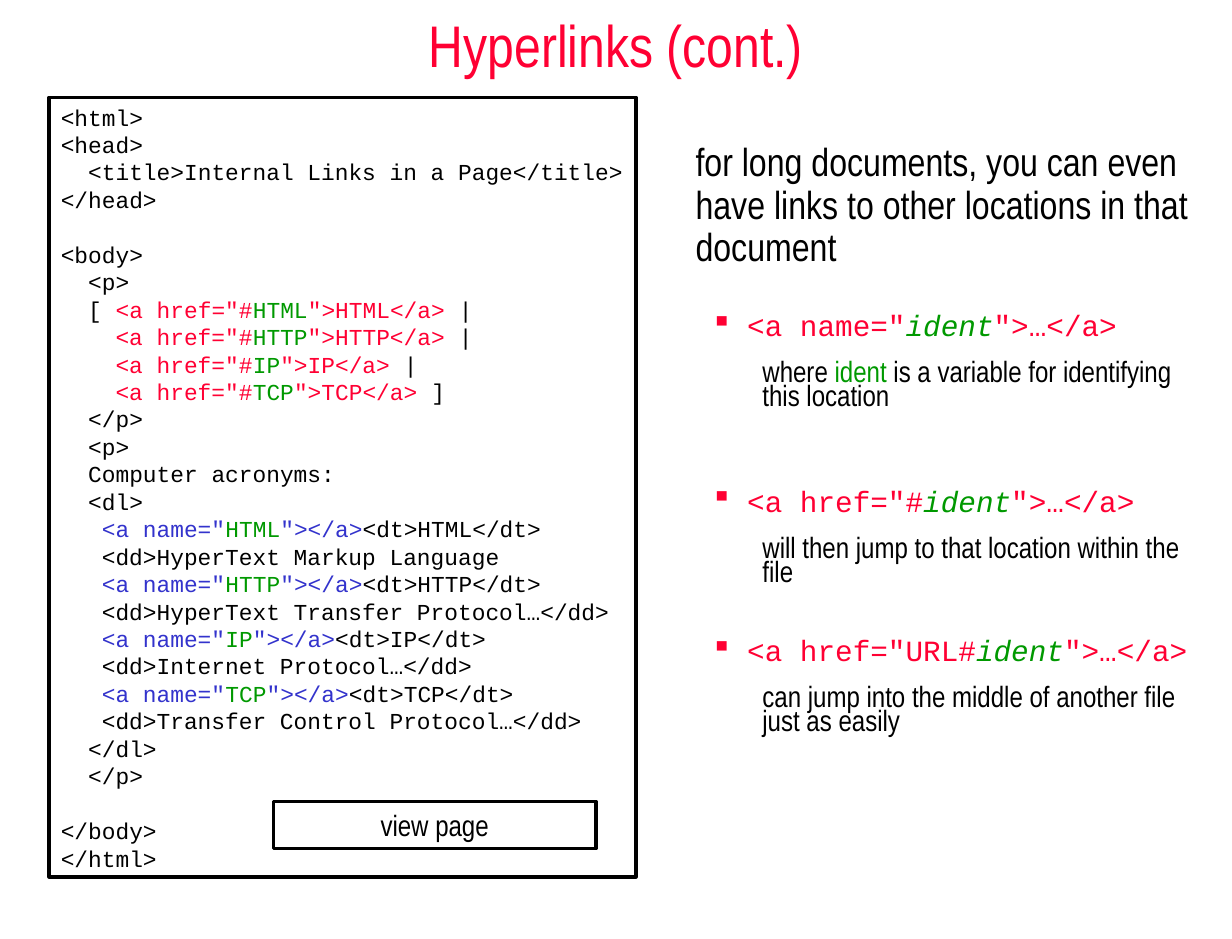
from dataclasses import dataclass

from lxml.etree import SubElement
from pptx import Presentation
from pptx.dml.color import RGBColor
from pptx.enum.shapes import MSO_SHAPE as Shape
from pptx.enum.text import MSO_ANCHOR as Anchor, PP_ALIGN as Align
from pptx.oxml.ns import qn
from pptx.util import Inches, Pt


@dataclass(frozen=True)
class Theme:
    sans: str = "Arial Narrow"
    mono: str = "Courier New"
    black: str = "000000"
    red: str = "FF0033"
    green: str = "009900"
    blue: str = "3333CC"
    title: float = 36
    lead: float = 24
    body: float = 18
    code: float = 14
    code_pitch: float = 16.84
    border: float = 2.25


THEME = Theme()
CODE_CHARACTER = THEME.code * 0.6 / 72


def write(paragraph, text, font=THEME.sans, size=THEME.body, color=THEME.black, italic=False):
    run = paragraph.add_run()
    run.text = text
    run.font.name = font
    run.font.size = Pt(size)
    run.font.color.rgb = RGBColor.from_string(color)
    run.font.italic = italic


def add_paragraph(frame, spacing=None, before=0, left=0, hanging=0, align=Align.LEFT):
    first = frame.paragraphs[0]
    paragraph = frame.add_paragraph() if first.runs else first
    paragraph.alignment = align
    paragraph.line_spacing = spacing
    paragraph.space_before = Pt(before)
    properties = paragraph._p.get_or_add_pPr()
    properties.set("marL", str(Inches(left)))
    properties.set("indent", str(Inches(-hanging)))
    return paragraph


def add_bullet(paragraph):
    properties = paragraph._p.get_or_add_pPr()
    color = SubElement(properties, qn("a:buClr"))
    SubElement(color, qn("a:srgbClr")).set("val", THEME.red)
    SubElement(properties, qn("a:buChar")).set("char", "▪")


def add_text_area(slide, left, top, width, height):
    area = slide.shapes.add_textbox(Inches(left), Inches(top), Inches(width), Inches(height))
    area.text_frame.word_wrap = True
    return area.text_frame


def add_frame(slide, left, top, width, height):
    shape = slide.shapes.add_shape(
        Shape.RECTANGLE, Inches(left), Inches(top), Inches(width), Inches(height))
    shape.shadow.inherit = False
    shape.fill.background()
    shape.line.color.rgb = RGBColor.from_string(THEME.black)
    shape.line.width = Pt(THEME.border)
    shape.text_frame.word_wrap = True
    shape.text_frame.vertical_anchor = Anchor.TOP
    return shape.text_frame


def add_code_line(frame, indent, *parts, gap=False):
    paragraph = add_paragraph(
        frame, spacing=Pt(THEME.code_pitch), left=indent * CODE_CHARACTER,
        before=THEME.code_pitch if gap else 0)
    for text, color in parts:
        write(paragraph, text, font=THEME.mono, size=THEME.code, color=color)


def add_plain_code(frame, *lines, gap=False):
    for number, (indent, text) in enumerate(lines):
        add_code_line(frame, indent, (text, THEME.black), gap=gap and number == 0)


def add_code(slide):
    black, red, green, blue = THEME.black, THEME.red, THEME.green, THEME.blue
    frame = add_frame(slide, 0.42, 0.83, 5, 6.64)
    add_plain_code(frame, (0, "<html>"), (0, "<head>"),
                   (2, "<title>Internal Links in a Page</title>"), (0, "</head>"))
    add_plain_code(frame, (0, "<body>"), (2, "<p>"), gap=True)
    definitions = {
        "HTML": "HyperText Markup Language",
        "HTTP": "HyperText Transfer Protocol…</dd>",
        "IP": "Internet Protocol…</dd>",
        "TCP": "Transfer Control Protocol…</dd>",
    }
    names = list(definitions)
    for name in names:
        link = [('<a href="#', red), (name, green), (f'">{name}</a> ', red),
                ("]" if name == names[-1] else "|", black)]
        if name == names[0]:
            add_code_line(frame, 2, ("[ ", black), *link)
        else:
            add_code_line(frame, 4, *link)
    add_plain_code(frame, (2, "</p>"), (2, "<p>"), (2, "Computer acronyms:"), (2, "<dl>"))
    for name, definition in definitions.items():
        add_code_line(frame, 3, ('<a name="', blue), (name, green), ('"></a>', blue),
                      (f"<dt>{name}</dt>", black))
        add_plain_code(frame, (3, f"<dd>{definition}"))
    add_plain_code(frame, (2, "</dl>"), (2, "</p>"))
    add_plain_code(frame, (0, "</body>"), (0, "</html>"), gap=True)


def add_link_form(frame, opening, explanation, before):
    form = add_paragraph(frame, spacing=0.7, before=before, left=0.44, hanging=0.31)
    add_bullet(form)
    write(form, opening, font=THEME.mono, color=THEME.red)
    write(form, "ident", font=THEME.mono, color=THEME.green, italic=True)
    write(form, '">…</a>', font=THEME.mono, color=THEME.red)
    note = add_paragraph(frame, spacing=0.7, before=12.8, left=0.57)
    for text, color in explanation:
        write(note, text, color=color)


def add_explanations(slide):
    frame = add_text_area(slide, 5.83, 1.17, 4.43, 5.67)
    lead = add_paragraph(frame, spacing=0.9)
    write(lead, "for long documents, you can even have links to other locations in that document",
          size=THEME.lead)
    black = THEME.black
    add_link_form(frame, '<a name="',
                  [("where ", black), ("ident", THEME.green),
                   (" is a variable for identifying this location", black)], before=29)
    add_link_form(frame, '<a href="#',
                  [("will then jump to that location within the file", black)], before=49.8)
    add_link_form(frame, '<a href="URL#',
                  [("can jump into the middle of another file just as easily", black)],
                  before=33.3)


def main():
    presentation = Presentation()
    presentation.slide_width = Inches(10.5)
    presentation.slide_height = Inches(8)
    slide = presentation.slides.add_slide(presentation.slide_layouts[6])
    title = add_text_area(slide, 0, 0, 10.5, 0.75)
    title.vertical_anchor = Anchor.MIDDLE
    write(add_paragraph(title, align=Align.CENTER), "Hyperlinks (cont.)",
          size=THEME.title, color=THEME.red)
    add_explanations(slide)
    add_code(slide)
    button = add_frame(slide, 2.33, 6.83, 2.75, 0.4)
    write(add_paragraph(button, align=Align.CENTER), "view page")
    presentation.save("out.pptx")


if __name__ == "__main__":
    main()
